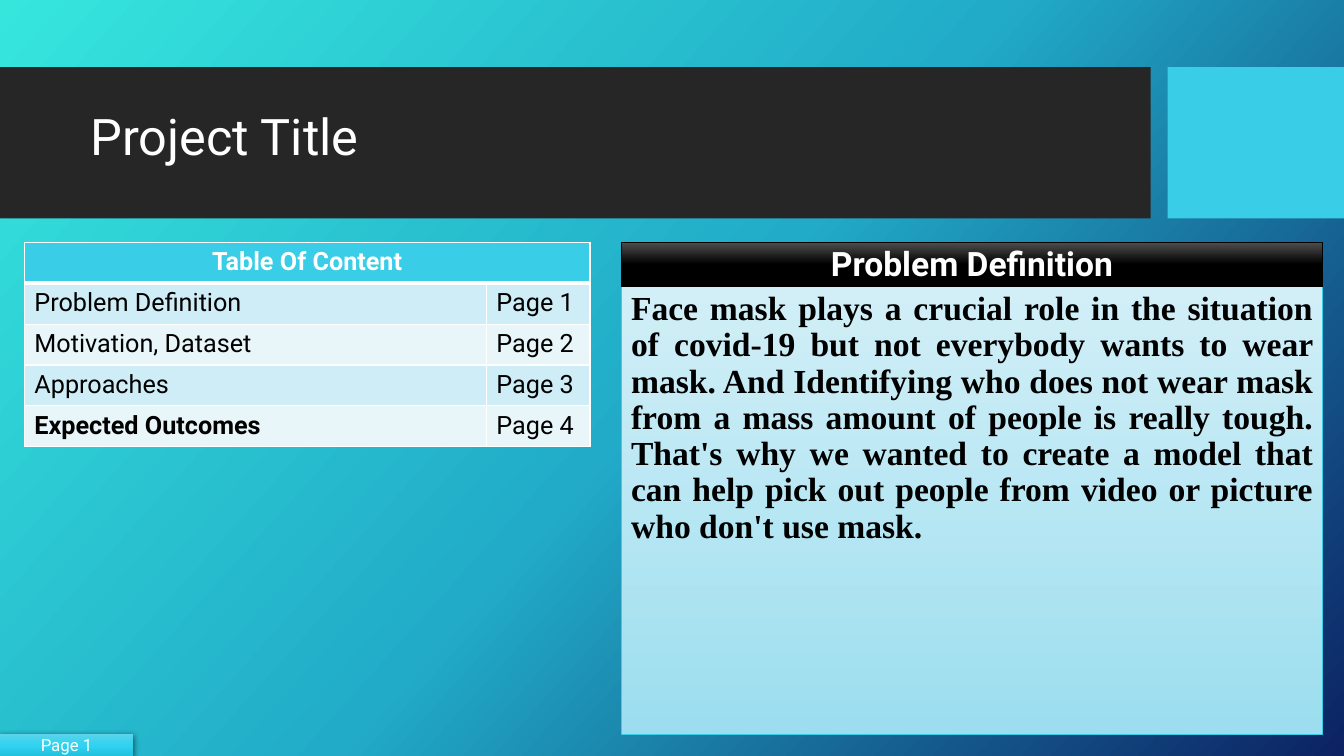
from dataclasses import dataclass

from lxml.etree import SubElement
from pptx import Presentation
from pptx.dml.color import RGBColor
from pptx.enum.shapes import MSO_SHAPE as SHAPE
from pptx.enum.text import MSO_ANCHOR as ANCHOR, PP_ALIGN as ALIGN
from pptx.oxml.ns import qn
from pptx.util import Emu, Inches, Pt

COLUMNS, ROWS = 160, 90
WIDTH, HEIGHT = Inches(13.333), Inches(7.5)


@dataclass(frozen=True)
class Theme:
    sans: str = "Roboto"
    serif: str = "Times New Roman"
    title_size: int = 36
    heading_size: int = 24
    table_size: int = 18
    footer_size: int = 12
    white: str = "FFFFFF"
    black: str = "000000"
    charcoal: str = "262626"
    cyan: str = "39CDE7"
    bands: tuple = ("CEEDF6", "E8F6FA")
    backdrop: tuple = ("36E6DD", "21ABC8", "0C2263")
    footer: tuple = ("5DD3EB", "30D3F0", "21C2DF")
    panel: tuple = ("D2EFF7", "9CDEEF")
    heading: tuple = ("4D4D4D", "000000", "000000")


THEME = Theme()

CONTENTS = [
    ("Problem Definition", "Page 1"),
    ("Motivation, Dataset", "Page 2"),
    ("Approaches", "Page 3"),
    ("Expected Outcomes", "Page 4"),
]

PROBLEM = (
    "Face mask plays a crucial role in the situation of covid-19 but not everybody "
    "wants to wear mask. And Identifying who does not wear mask from a mass amount "
    "of people is really tough. That's why we wanted to create a model that can help "
    "pick out people from video or picture who don't use mask."
)


def across(columns):
    return Emu(round(WIDTH * columns / COLUMNS))


def down(rows):
    return Emu(round(HEIGHT * rows / ROWS))


def area(column, row, columns, rows):
    return across(column), down(row), across(columns), down(rows)


def add_color(parent, color):
    return SubElement(parent, qn("a:srgbClr"), val=color)


def set_gradient(fill, owner, colors, angle=90):
    fill.gradient()
    gradient = owner.find(".//" + qn("a:gradFill"))
    for child in list(gradient):
        gradient.remove(child)
    stops = SubElement(gradient, qn("a:gsLst"))
    for index, color in enumerate(colors):
        position = 100000 * index // (len(colors) - 1)
        add_color(SubElement(stops, qn("a:gs"), pos=str(position)), color)
    SubElement(gradient, qn("a:lin"), ang=str(angle * 60000), scaled="0")


def write(frame, text, size, color=THEME.white, font=THEME.sans, bold=False,
          align=ALIGN.LEFT, anchor=ANCHOR.TOP, spacing=1.0, before=0):
    frame.word_wrap = True
    frame.vertical_anchor = anchor
    paragraph = frame.paragraphs[0]
    paragraph.alignment = align
    paragraph.line_spacing = spacing
    paragraph.space_before = Pt(before)
    run = paragraph.add_run()
    run.text = text
    run.font.name = font
    run.font.size = Pt(size)
    run.font.bold = bold
    run.font.color.rgb = RGBColor.from_string(color)


def add_block(slide, place, colors, outline=None):
    block = slide.shapes.add_shape(SHAPE.RECTANGLE, *place)
    block.shadow.inherit = False
    if len(colors) > 1:
        set_gradient(block.fill, block.element.spPr, colors)
    else:
        block.fill.solid()
        block.fill.fore_color.rgb = RGBColor.from_string(colors[0])
    if outline:
        block.line.color.rgb = RGBColor.from_string(outline)
        block.line.width = Pt(0.75)
    else:
        block.line.fill.background()
    return block


def add_soft_shadow(block):
    effects = block.element.spPr.find(qn("a:effectLst"))
    shadow = SubElement(effects, qn("a:outerShdw"), blurRad=str(Pt(4.5)),
                        dist=str(Pt(1.5)), dir="5400000", algn="ctr", rotWithShape="0")
    SubElement(add_color(shadow, THEME.black), qn("a:alpha"), val="63000")


def style_cell(cell, color, top=1, bottom=1):
    properties = cell._tc.get_or_add_tcPr()
    for side, width in (("L", 1), ("R", 1), ("T", top), ("B", bottom)):
        border = SubElement(properties, qn("a:ln" + side), w=str(Pt(width)))
        add_color(SubElement(border, qn("a:solidFill")), THEME.white)
    cell.fill.solid()
    cell.fill.fore_color.rgb = RGBColor.from_string(color)


def add_contents(slide, place, widths):
    table = slide.shapes.add_table(len(CONTENTS) + 1, len(widths), *place).table
    for column, width in zip(table.columns, widths):
        column.width = across(width)
    for heading in table.rows[0].cells:
        style_cell(heading, THEME.cyan, bottom=3)
    table.cell(0, 0).merge(table.cell(0, 1))
    write(table.cell(0, 0).text_frame, "Table Of Content", THEME.table_size,
          bold=True, align=ALIGN.CENTER)
    for row, entry in enumerate(CONTENTS, 1):
        for column, text in enumerate(entry):
            cell = table.cell(row, column)
            style_cell(cell, THEME.bands[(row - 1) % 2], top=3 if row == 1 else 1)
            emphasis = row == len(CONTENTS) and column == 0
            write(cell.text_frame, text, THEME.table_size, THEME.black, bold=emphasis)


def add_title(slide, text):
    title = slide.shapes.add_textbox(*area(9.6, 9.5, 123.1, 14.2))
    write(title.text_frame, text, THEME.title_size, anchor=ANCHOR.MIDDLE, spacing=0.9)


def add_footer(slide, text):
    footer = add_block(slide, area(0, 87.36, 15.84, 2.64), THEME.footer)
    add_soft_shadow(footer)
    write(footer.text_frame, text, THEME.footer_size,
          align=ALIGN.CENTER, anchor=ANCHOR.MIDDLE)


def add_problem(slide, column, row, columns):
    heading_rows, body_rows = 5.25, 53.3
    body = add_block(slide, area(column, row + heading_rows, columns, body_rows),
                     THEME.panel, THEME.cyan)
    write(body.text_frame, PROBLEM, THEME.heading_size, THEME.black, THEME.serif,
          bold=True, align=ALIGN.JUSTIFY, spacing=0.9, before=10)
    heading = add_block(slide, area(column, row, columns, heading_rows),
                        THEME.heading, THEME.black)
    write(heading.text_frame, "Problem Definition", THEME.heading_size, bold=True,
          align=ALIGN.CENTER, spacing=0.9)


def main():
    deck = Presentation()
    deck.slide_width, deck.slide_height = WIDTH, HEIGHT
    slide = deck.slides.add_slide(deck.slide_layouts[6])
    set_gradient(slide.background.fill, slide.element, THEME.backdrop, 42)
    add_block(slide, area(0, 8, 137, 18), [THEME.charcoal])
    add_block(slide, area(139, 8, 21, 18), [THEME.cyan])
    add_title(slide, "Project Title")
    add_contents(slide, area(2.9, 28.85, 67.35, 24.35), (55, 12.35))
    add_footer(slide, "Page 1")
    add_problem(slide, 73.95, 28.87, 83.55)
    deck.save("out.pptx")


if __name__ == "__main__":
    main()
